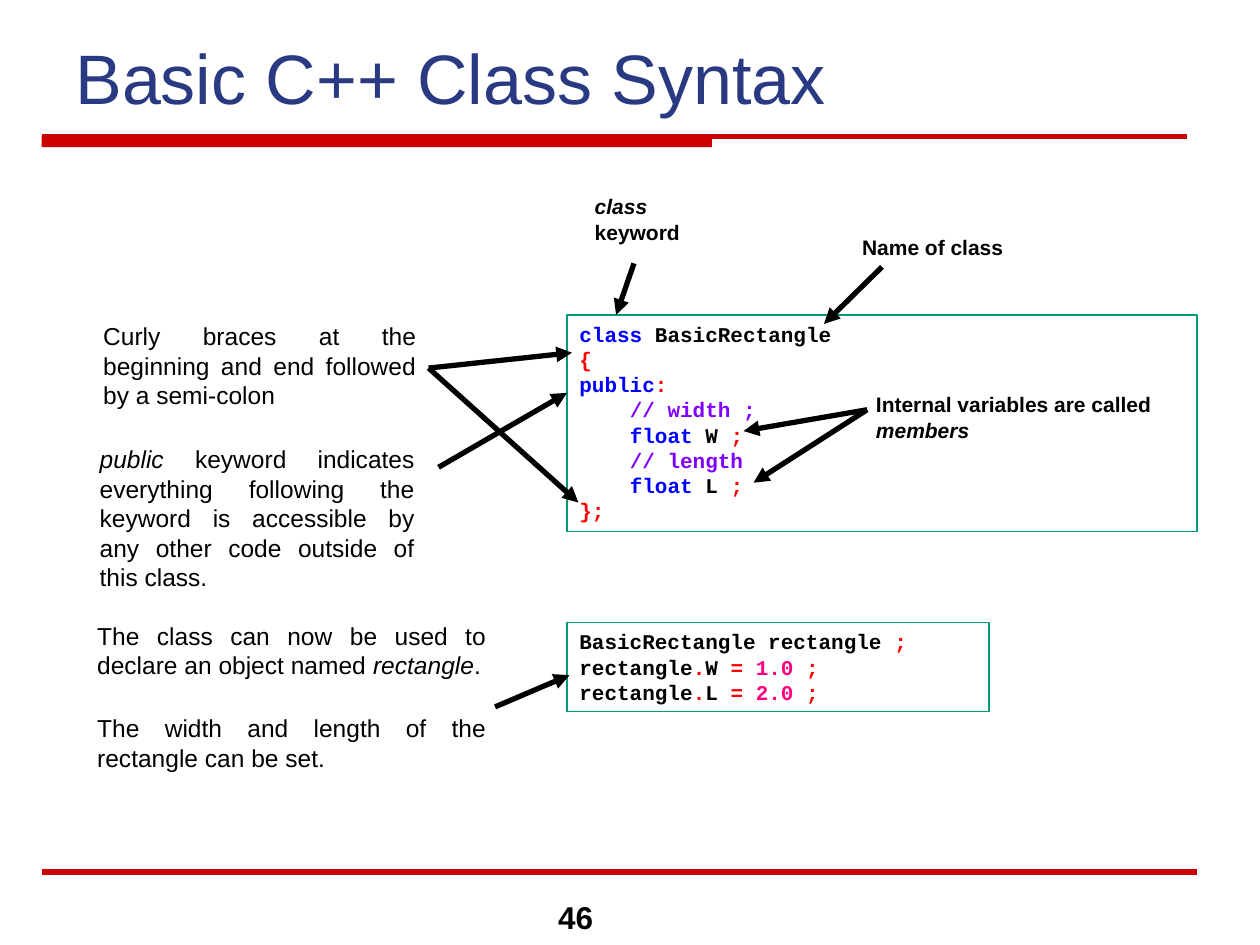
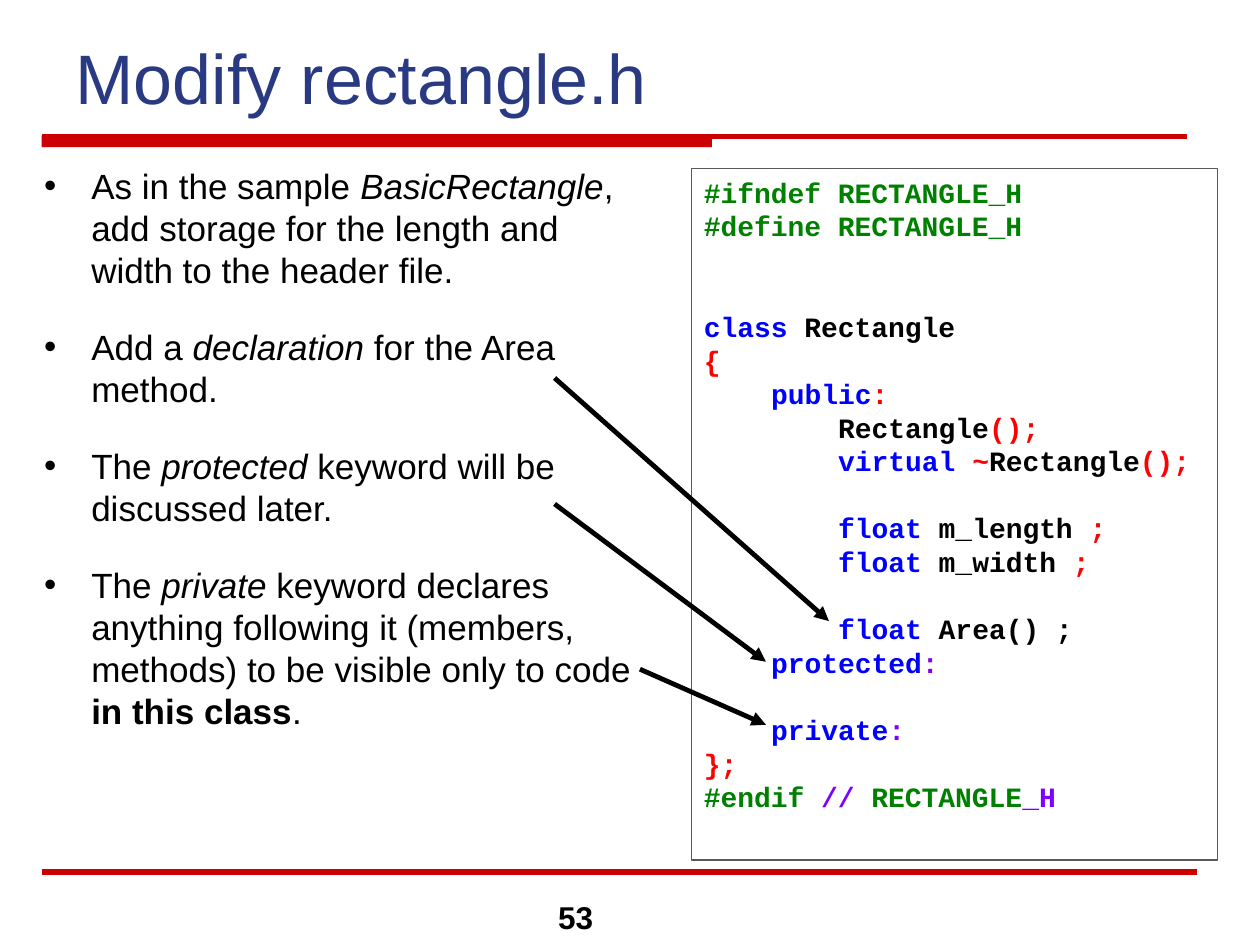
from lxml.etree import SubElement
from pptx import Presentation
from pptx.dml.color import RGBColor
from pptx.enum.shapes import MSO_CONNECTOR, MSO_SHAPE
from pptx.enum.text import MSO_ANCHOR, MSO_AUTO_SIZE, PP_ALIGN
from pptx.oxml.ns import qn
from pptx.util import Cm, Pt

INK = "000000"
NAVY = "293A83"
BAND = "CC0000"
TEAL = "009973"
GREY = "595959"
BLUE = "0000FF"
RED = "FF0000"
PLUM = "8000FF"
PINK = "FF0080"
GREEN = "008000"
SANS = "Arial"
MONO = "Courier New"
LEAD = 1.2
WIDE = (0.25, 0.13)
SLIM = (0.18, 0.1)

RULE = (0, 0)
SEMI = (";", RED)


def tint(code):
    return RGBColor.from_string(code)


def add_run(para, size, face, base, text, code=INK, marks=""):
    run = para.add_run()
    run.text = text
    font = run.font
    font.name = face
    font.size = Pt(size)
    font.bold = "b" in base + marks
    font.italic = "i" in marks
    font.color.rgb = tint(code)


def add_para(frame, first, runs, size, face=SANS, base="", gap=0,
             align=PP_ALIGN.LEFT):
    para = frame.paragraphs[0] if first else frame.add_paragraph()
    para.alignment = align
    para.line_spacing = Pt(LEAD * size)
    para.space_before = Pt(gap)
    para.space_after = Pt(0)
    for run in runs:
        add_run(para, size, face, base, *run)
    return para


def set_frame(frame, pad=WIDE, anchor=MSO_ANCHOR.TOP):
    frame.word_wrap = True
    frame.auto_size = MSO_AUTO_SIZE.NONE
    frame.vertical_anchor = anchor
    frame.margin_left = frame.margin_right = Cm(pad[0])
    frame.margin_top = frame.margin_bottom = Cm(pad[1])
    return frame


def place(shape, box):
    shape.left, shape.top, shape.width, shape.height = map(Cm, box)


def set_list(para, mark=None):
    props = para._p.get_or_add_pPr()
    hang = Cm(0.95) if mark else 0
    props.set("marL", str(hang))
    props.set("indent", str(-hang))
    if mark:
        SubElement(props, qn("a:buChar"), char=mark)
    else:
        SubElement(props, qn("a:buNone"))


def add_line(slide, start, end, code=INK, width=3, head=False):
    line = slide.shapes.add_connector(
        MSO_CONNECTOR.STRAIGHT, *map(Cm, start + end))
    line.line.color.rgb = tint(code)
    line.line.width = Pt(width)
    if head:
        SubElement(line.line._get_or_add_ln(), qn("a:tailEnd"), type="triangle")
    SubElement(line.element.spPr, qn("a:effectLst"))
    return line


def add_box(slide, box, fill=None, edge=None):
    shape = slide.shapes.add_shape(MSO_SHAPE.RECTANGLE, *map(Cm, box))
    shape.shadow.inherit = False
    if fill:
        shape.fill.solid()
        shape.fill.fore_color.rgb = tint(fill)
    else:
        shape.fill.background()
    if edge:
        shape.line.color.rgb = tint(edge)
        shape.line.width = Pt(0.75)
    else:
        shape.line.fill.background()
    return shape


def add_code(slide, box, rows, size, edge):
    frame = set_frame(add_box(slide, box, edge=edge).text_frame)
    for spot, (depth, skip, *runs) in enumerate(rows):
        para = add_para(frame, spot == 0, runs, size, MONO, "b",
                        skip * LEAD * size)
        props = para._p.get_or_add_pPr()
        props.set("marL", str(Pt(depth * 4 * 0.6 * size)))


def add_note(slide, box, paras, size=12, base="b", gap=0,
             align=PP_ALIGN.LEFT, pad=SLIM):
    frame = set_frame(slide.shapes.add_textbox(*map(Cm, box)).text_frame, pad)
    for spot, runs in enumerate(paras):
        add_para(frame, spot == 0, runs, size, SANS, base,
                 gap if spot else 0, align)


def add_body(slide, box, paras, size, mark=None, align=PP_ALIGN.LEFT):
    body = slide.placeholders[1]
    place(body, box)
    frame = set_frame(body.text_frame)
    for spot, runs in enumerate(paras):
        para = add_para(frame, spot == 0, runs, size, gap=20, align=align)
        set_list(para, mark)


def set_layout(deck, layout):
    place(layout.placeholders[0], (1.27, 0.41, 22, 2.11))
    draft = deck.slides.add_slide(layout)
    parts = [
        add_box(draft, (0.84, 2.74, 13.51, 0.23), fill=BAND),
        add_line(draft, (0.84, 2.75), (23.92, 2.75), BAND),
        add_line(draft, (0.84, 17.58), (24.13, 17.58), BAND),
    ]
    for part in parts:
        layout.shapes.element.append(part.element)
    return draft


def set_page(slide, title, page):
    frame = set_frame(slide.shapes.title.text_frame, anchor=MSO_ANCHOR.BOTTOM)
    add_para(frame, True, [(title, NAVY)], 40)
    add_note(slide, (11, 17.98, 1.68, 1.02), [[(page,)]], 18, pad=WIDE)


def build_syntax(slide):
    set_page(slide, "Basic C++ Class Syntax", "46")
    add_body(slide, (1.83, 6.35, 6.81, 2.11), [
        [("Curly braces at the beginning and end followed by a semi-colon",)],
    ], 14, align=PP_ALIGN.JUSTIFY)
    add_code(slide, (11.43, 6.35, 12.7, 4.37), [
        (0, 0, ("class", BLUE), (" BasicRectangle",)),
        (0, 0, ("{", RED)),
        (0, 0, ("public", BLUE), (":", RED)),
        (1, 0, ("// width ;", PLUM)),
        (1, 0, ("float", BLUE), (" W ",), SEMI),
        (1, 0, ("// length", PLUM)),
        (1, 0, ("float", BLUE), (" L ",), SEMI),
        (0, 0, ("};", RED)),
    ], 12, TEAL)
    sets = [(0, 0, ("rectangle",), (".", RED), (side + " ",), ("=", RED),
             (" ",), (size, PINK), (" ",), SEMI)
            for side, size in (("W", "1.0"), ("L", "2.0"))]
    add_code(slide, (11.43, 12.55, 8.51, 1.8), [
        (0, 0, ("BasicRectangle rectangle ",), SEMI), *sets,
    ], 12, TEAL)
    add_note(slide, (11.81, 3.81, 3.18, 1.63),
             [[("class", INK, "i"), (" keyword",)]])
    add_note(slide, (17.2, 4.62, 3.56, 0.79), [[("Name of class",)]])
    add_note(slide, (17.48, 7.8, 6, 0.97),
             [[("Internal variables are called ",), ("members", INK, "i")]])
    add_note(slide, (1.83, 8.86, 6.71, 3.18), [
        [("public", INK, "i"),
         (" keyword indicates everything following the keyword is "
          "accessible by any other code outside of this class.",)],
    ], 14, "", align=PP_ALIGN.JUSTIFY)
    add_note(slide, (1.78, 12.42, 8.2, 3.63), [
        [("The class can now be used to declare an object named ",),
         ("rectangle", INK, "i"), (".",)],
        [("The width and length of the rectangle can be set.",)],
    ], 14, "", 19, PP_ALIGN.JUSTIFY)
    brace, member = (8.64, 7.42), (17.48, 8.26)
    for start, end in (
        (brace, (11.53, 7.11)),
        (brace, (11.66, 10.13)),
        ((12.78, 5.31), (12.42, 6.35)),
        ((17.78, 5.38), (16.61, 6.53)),
        (member, (14.99, 8.69)),
        (member, (15.19, 9.73)),
        ((8.84, 9.42), (11.43, 7.92)),
        ((9.98, 14.25), (11.48, 13.61)),
    ):
        add_line(slide, start, end, head=True)


def build_header(slide):
    set_page(slide, "Modify rectangle.h", "53")
    add_body(slide, (0.64, 3.18, 12.7, 14.4), [
        [("As in the sample ",), ("BasicRectangle", INK, "i"),
         (", add storage for the length and width to the header file.",)],
        [("Add a ",), ("declaration", INK, "i"), (" for the Area method.",)],
        [("The ",), ("protected", INK, "i"),
         (" keyword will be discussed later.",)],
        [("The ",), ("private", INK, "i"),
         (" keyword declares anything following it (members, methods) "
          "to be visible only to code ",),
         ("in this class", INK, "b"), (".",)],
    ], 20, "•")
    add_code(slide, (13.94, 3.4, 10.6, 13.94), [
        (0, 0, ("#ifndef RECTANGLE_H", GREEN)),
        (0, 0, ("#define RECTANGLE_H", GREEN)),
        (0, 2, ("class", BLUE), (" Rectangle",)),
        (0, 0, ("{", RED)),
        (1, 0, ("public", BLUE), (":", RED)),
        (2, 0, ("Rectangle",), ("();", RED)),
        (2, 0, ("virtual", BLUE), (" ",), ("~", RED), ("Rectangle",),
         ("();", RED)),
        (2, 1, ("float", BLUE), (" m_length ",), SEMI),
        (2, 0, ("float", BLUE), (" m_width ",), SEMI),
        (2, 1, ("float", BLUE), (" Area() ;",)),
        (1, 0, ("protected", BLUE), (":", PLUM)),
        (1, 1, ("private", BLUE), (":", PLUM)),
        (0, 0, ("};", RED)),
        (0, 0, ("#endif ", GREEN), ("// ", PLUM), ("RECTANGLE", GREEN),
         ("_H", PLUM)),
    ], 16, GREY)
    for start, end in (
        ((11.18, 7.62), (16.71, 12.52)),
        ((11.18, 10.16), (15.44, 13.34)),
        ((12.9, 13.49), (15.44, 14.61)),
    ):
        add_line(slide, start, end, width=2.75, head=True)


def main():
    deck = Presentation()
    deck.slide_width, deck.slide_height = Cm(25.4), Cm(19.05)
    layout = deck.slide_layouts[1]
    build_syntax(set_layout(deck, layout))
    build_header(deck.slides.add_slide(layout))
    deck.save("out.pptx")


if __name__ == "__main__":
    main()
